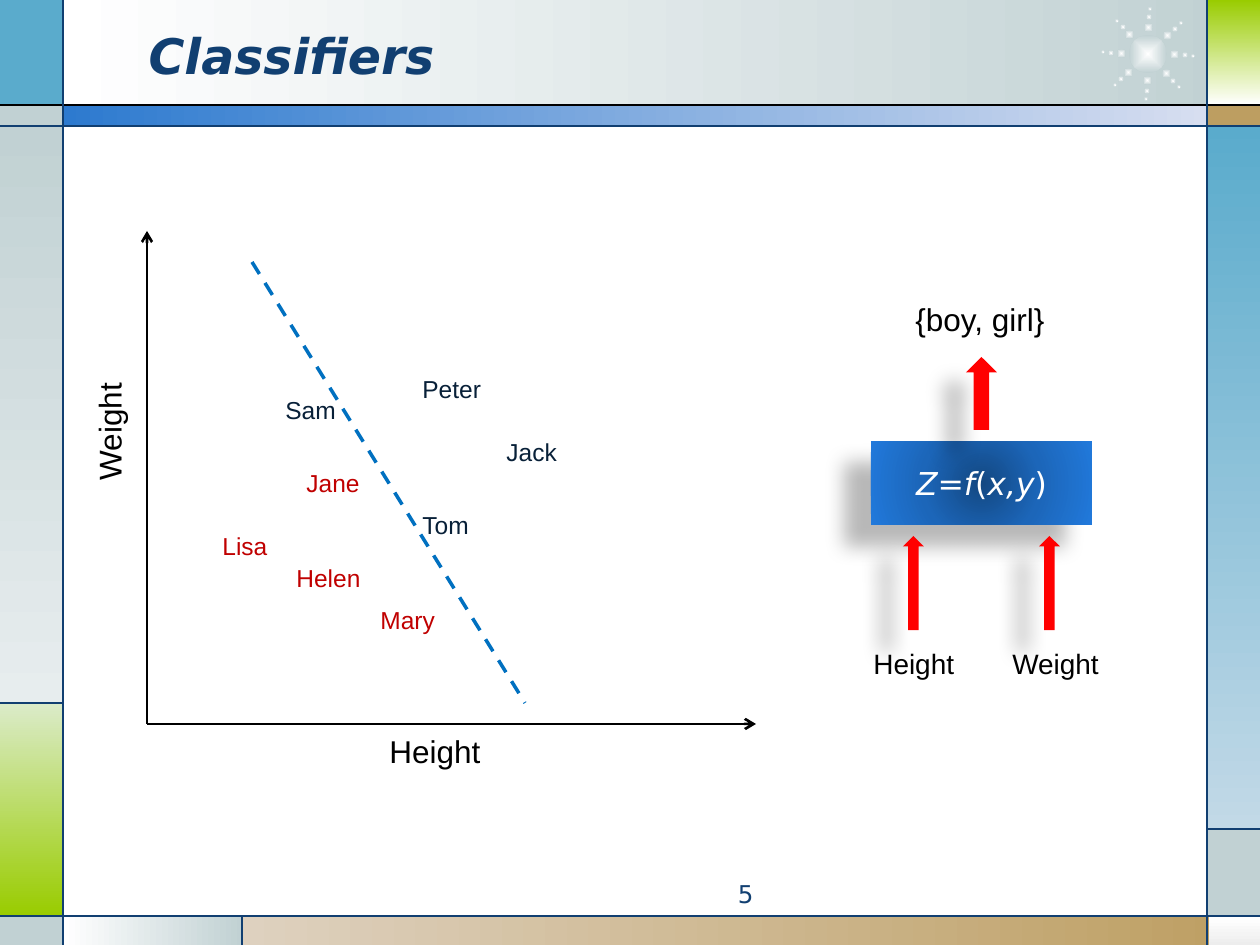
from dataclasses import dataclass
from itertools import product
from math import cos, radians, sin

from lxml.etree import SubElement
from pptx import Presentation
from pptx.dml.color import RGBColor
from pptx.enum.dml import MSO_LINE
from pptx.enum.shapes import MSO_CONNECTOR, MSO_SHAPE
from pptx.enum.text import MSO_ANCHOR, MSO_AUTO_SIZE, PP_ALIGN
from pptx.oxml import parse_xml
from pptx.oxml.ns import nsdecls, qn
from pptx.util import Emu, Pt


@dataclass(frozen=True)
class Theme:
    heading_font: str = "DejaVu Sans"
    label_font: str = "Arial"
    title_size: int = 28
    axis_size: int = 18
    input_size: int = 16
    name_size: int = 14
    navy: str = "113F71"
    black: str = "000000"
    white: str = "FFFFFF"
    boy: str = "082038"
    girl: str = "C00000"
    boundary: str = "0070C0"
    arrow: str = "FF0000"
    mist: str = "C1D1D3"
    teal: str = "5AABCC"
    lime: str = "99CC00"
    sand: str = "BD9E61"


THEME = Theme()
ACROSS, DOWN = 0, 90


def px(length):
    return Emu(round(length * 914400 / 126))


def set_gradient(shape, colors, angle=None, path_kind=None):
    """Spread colors evenly, along an angle or outwards from the centre."""
    step = 100000 // (len(colors) - 1)
    stops = "".join(
        f'<a:gs pos="{i * step}"><a:srgbClr val="{color}"/></a:gs>'
        for i, color in enumerate(colors))
    if path_kind:
        course = (f'<a:path path="{path_kind}"><a:fillToRect l="50000" t="50000" '
                  'r="50000" b="50000"/></a:path>')
    else:
        course = f'<a:lin ang="{angle * 60000}" scaled="0"/>'
    gradient = parse_xml(f'<a:gradFill {nsdecls("a")} rotWithShape="1">'
                         f'<a:gsLst>{stops}</a:gsLst>{course}</a:gradFill>')
    shape.fill.background()
    properties = shape._element.spPr
    properties.replace(properties.find(qn("a:noFill")), gradient)


def add_block(slide, kind, box, color=None):
    block = slide.shapes.add_shape(kind, *map(px, box))
    block.shadow.inherit = False
    block.line.fill.background()
    if color:
        block.fill.solid()
        block.fill.fore_color.rgb = RGBColor.from_string(color)
    return block


def cast_shadow(shape):
    effects = shape._element.spPr.find(qn("a:effectLst"))
    shadow = SubElement(effects, qn("a:outerShdw"), blurRad=str(Pt(11.8)),
                        dist=str(Pt(19.7)), dir=str(141 * 60000), algn="ctr",
                        rotWithShape="0")
    tint = SubElement(shadow, qn("a:srgbClr"), val=THEME.black)
    SubElement(tint, qn("a:alpha"), val="28000")


def add_line(slide, start, end, color, width=0.75, arrow=False, dash=None):
    connector = slide.shapes.add_connector(
        MSO_CONNECTOR.STRAIGHT, *map(px, (*start, *end)))
    connector.line.color.rgb = RGBColor.from_string(color)
    connector.line.width = Pt(width)
    if dash:
        connector.line.dash_style = dash
    if arrow:
        SubElement(connector.line._get_or_add_ln(), qn("a:tailEnd"), type="arrow")
    SubElement(connector._element.spPr, qn("a:effectLst"))


def format_run(run, font, size, color, bold=False, italic=False):
    run.font.name = font
    run.font.size = Pt(size)
    run.font.bold = bold
    run.font.italic = italic
    run.font.color.rgb = RGBColor.from_string(color)


def add_label(slide, text, box, size, color=THEME.black):
    label = slide.shapes.add_textbox(*map(px, box))
    frame = label.text_frame
    frame.text = text
    frame.word_wrap = False
    frame.auto_size = MSO_AUTO_SIZE.SHAPE_TO_FIT_TEXT
    format_run(frame.paragraphs[0].runs[0], THEME.label_font, size, color)
    return label


def draw_frame(slide):
    t = THEME
    # Bands: box, colors, gradient direction
    bands = [
        ((63, 0, 1168, 106), (t.white, t.mist), ACROSS),
        ((0, 0, 63, 106), (t.teal,), None),
        ((0, 105, 63, 21), (t.mist,), None),
        ((0, 126, 63, 577), (t.mist, "E7EDEE"), DOWN),
        ((0, 703, 63, 213), ("DBEBC9", t.lime), DOWN),
        ((0, 917, 63, 28), (t.mist,), None),
        ((63, 916, 180, 29), (t.white, t.mist), ACROSS),
        ((242, 916, 1018, 29), ("DED1BF", t.sand), ACROSS),
        ((1209, 917, 51, 28), (t.white, "EDEDED"), DOWN),
        ((1208, 829, 52, 88), (t.mist,), None),
        ((1207, 126, 53, 703), (t.teal, "C2D9E7"), DOWN),
        ((1207, 105, 53, 21), (t.sand,), None),
        ((1208, 0, 52, 105), (t.lime, t.white), DOWN),
        ((63, 105, 1145, 21), ("2D7ACF", "D7DEF0"), ACROSS),
    ]
    for box, colors, direction in bands:
        band = add_block(slide, MSO_SHAPE.RECTANGLE, box, colors[0])
        if direction is not None:
            set_gradient(band, colors, direction)

    # Sunburst: one core and eight rays of shrinking dots
    center_x, center_y = 1148, 54
    dots = [(0, 0, 38)] + [
        (radius * cos(radians(angle)), radius * sin(radians(angle)), size)
        for angle, (radius, size) in product(
            range(2, 362, 45), ((27, 9), (37, 6), (45, 4)))]
    for dx, dy, size in dots:
        corner = (round(center_x + dx - size / 2), round(center_y + dy - size / 2))
        dot = add_block(slide, MSO_SHAPE.OVAL, (*corner, size, size))
        set_gradient(dot, (t.white, t.mist), path_kind="shape")

    # Rules between the bands
    add_line(slide, (0, 105), (1260, 105), t.black)
    for start, end in [
        ((0, 126), (1260, 126)), ((0, 916), (1260, 916)),
        ((63, 0), (63, 945)), ((1207, 0), (1207, 945)),
        ((63, 703), (0, 703)), ((242, 916), (242, 945)),
        ((1207, 829), (1260, 829)),
    ]:
        add_line(slide, start, end, t.navy)


def set_title(slide, text):
    title = slide.shapes.title
    title.left, title.top, title.width, title.height = map(px, (136, 16, 924, 78))
    frame = title.text_frame
    frame.text = text
    frame.vertical_anchor = MSO_ANCHOR.MIDDLE
    frame.paragraphs[0].alignment = PP_ALIGN.LEFT
    format_run(frame.paragraphs[0].runs[0], THEME.heading_font, THEME.title_size,
               THEME.navy, bold=True, italic=True)
    # Bring the title in front of the banner
    slide.shapes._spTree.append(title._element)


def add_page_number(slide, number):
    page = add_label(slide, number, (473, 873, 293, 34), THEME.name_size, THEME.navy)
    page.text_frame.word_wrap = True
    page.text_frame.auto_size = MSO_AUTO_SIZE.NONE
    page.text_frame.paragraphs[0].alignment = PP_ALIGN.RIGHT
    page.text_frame.paragraphs[0].runs[0].font.name = THEME.heading_font


def draw_scatter(slide):
    # Axes
    origin = (147, 724)
    for tip in ((756, 724), (147, 231)):
        add_line(slide, origin, tip, THEME.black, 1.5, arrow=True)
    add_label(slide, "Height", (377, 726, 117, 50), THEME.axis_size)
    weight = add_label(slide, "Weight", (84, 382, 63, 111), THEME.axis_size)
    weight.rotation = 180
    weight.text_frame._txBody.bodyPr.set("vert", "eaVert")

    # People, by class
    girls = [("Mary", 368, 599, 81), ("Lisa", 210, 525, 71),
             ("Jane", 294, 462, 79), ("Helen", 284, 557, 89)]
    boys = [("Jack", 494, 431, 77), ("Peter", 410, 368, 84),
            ("Tom", 410, 504, 72), ("Sam", 273, 389, 77)]
    for people, color in ((girls, THEME.girl), (boys, THEME.boy)):
        for name, left, top, width in people:
            add_label(slide, name, (left, top, width, 43), THEME.name_size, color)

    # Decision boundary
    add_line(slide, (252, 262), (525, 703), THEME.boundary, 2, dash=MSO_LINE.DASH)


def draw_classifier(slide):
    # Function box
    function = add_block(slide, MSO_SHAPE.RECTANGLE, (871, 441, 221, 84))
    set_gradient(function, ("134882", "1C66B9", "2179DB"), path_kind="circle")
    cast_shadow(function)
    function.text_frame.vertical_anchor = MSO_ANCHOR.MIDDLE
    formula = function.text_frame.paragraphs[0]
    formula.alignment = PP_ALIGN.CENTER
    for part, italic in (("Z=f", True), ("(", False), ("x,y", True), (")", False)):
        run = formula.add_run()
        run.text = part
        format_run(run, THEME.heading_font, THEME.axis_size, THEME.white, italic=italic)

    # Output and input arrows
    for box in ((966, 357, 31, 73), (903, 536, 21, 94), (1039, 536, 21, 94)):
        cast_shadow(add_block(slide, MSO_SHAPE.UP_ARROW, box, THEME.arrow))

    add_label(slide, "{boy, girl}", (903, 294, 156, 50), THEME.axis_size)
    add_label(slide, "Height", (861, 640, 107, 47), THEME.input_size)
    add_label(slide, "Weight", (1000, 640, 113, 47), THEME.input_size)


def main():
    deck = Presentation()
    deck.slide_width, deck.slide_height = px(1260), px(945)
    slide = deck.slides.add_slide(deck.slide_layouts[5])
    draw_frame(slide)
    set_title(slide, "Classifiers")
    add_page_number(slide, "5")
    draw_scatter(slide)
    draw_classifier(slide)
    deck.save("out.pptx")


if __name__ == "__main__":
    main()
